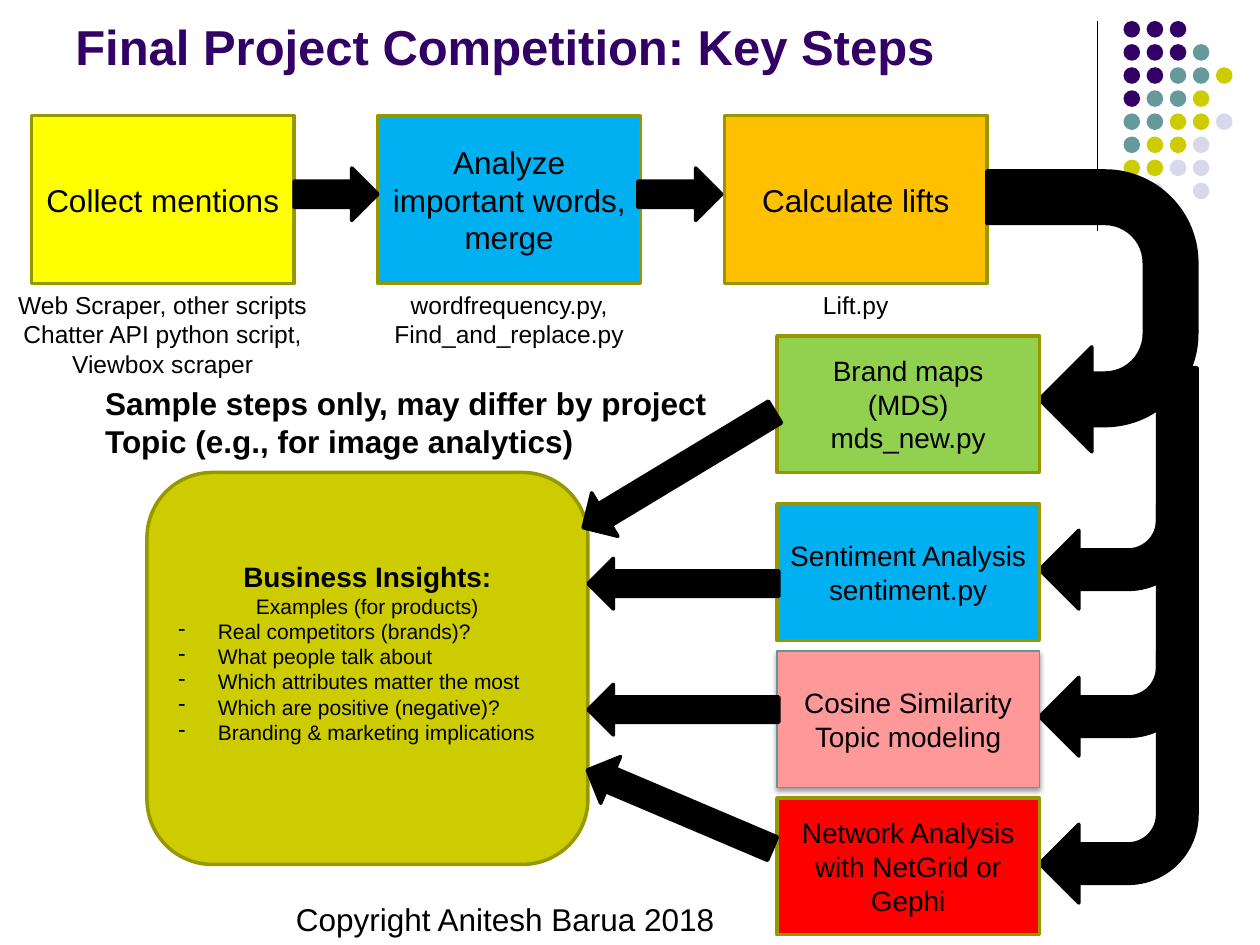
"""Build the slide of key steps in the final project competition."""
from lxml.etree import SubElement as Sub
from pptx import Presentation
from pptx.dml.color import RGBColor as RGB
from pptx.enum.shapes import MSO_CONNECTOR as Link, MSO_SHAPE as Kind
from pptx.enum.text import MSO_ANCHOR as Anchor, PP_ALIGN as Align
from pptx.oxml.ns import qn
from pptx.util import Pt

THEME = {
    "font": "Arial", "ink": "000000", "title": "330066", "edge": "979700",
    "card": "CCCC00", "rim": "639797",
    "dots": {"P": "330066", "T": "669999", "Y": "CCCC00", "L": "D8D8EC"},
    "head": 28, "big": 18, "mid": 16, "note": 14, "small": 12,
}
TITLE = "Final Project Competition: Key Steps"
DOTS = ["PPP", "PPPT", "PPTTY", "PTTY", "TTYYL", "TYYL", "YYLL", ".L.L"]
STEPS = [
    ("Collect mentions", "FFFF00",
     ["Web Scraper, other scripts", "Chatter API python script,", "Viewbox scraper"]),
    ("Analyze important words, merge", "00B0F0",
     ["wordfrequency.py,", "Find_and_replace.py"]),
    ("Calculate lifts", "FFC000", ["Lift.py"]),
]
TOOLS = [
    (["Brand maps", "(MDS) mds_new.py"], "92D050", 192),
    (["Sentiment Analysis sentiment.py"], "00B0F0", 288),
    (["Cosine Similarity", "Topic modeling"], "FF9999", 372),
    (["Network Analysis with NetGrid or Gephi"], "FF0000", 456),
]
GOALS = ["Real competitors (brands)?", "What people talk about",
         "Which attributes matter the most", "Which are positive (negative)?",
         "Branding & marketing implications"]
REMARK = ["Sample steps only, may differ by project",
          "Topic (e.g., for image analytics)"]
RIGHTS = "Copyright Anitesh Barua 2018"
FLOW = [
    (168, 96, 48, 30, 0), (364.5, 96, 48, 30, 0),
    (324, 254, 128, 29, 148.9), (336, 319, 109, 29, 180),
    (336, 391, 109, 29, 180), (331, 448, 115, 29, 203),
]

deck = Presentation()
deck.slide_width, deck.slide_height = Pt(720), Pt(540)
slide = deck.slides.add_slide(deck.slide_layouts[6])
shapes = slide.shapes


def write(frame, lines, size, bold=False, align=Align.CENTER, color=THEME["ink"]):
    """Fill a text frame with paragraphs of one style."""
    for i, line in enumerate(lines):
        para = frame.paragraphs[0] if i == 0 else frame.add_paragraph()
        para.text = line
        style(para, size, bold, align, color)


def style(para, size, bold=False, align=Align.CENTER, color=THEME["ink"]):
    """Set the alignment and font of a paragraph."""
    para.alignment = align
    font = para.font
    font.name, font.size, font.bold = THEME["font"], Pt(size), bold
    font.color.rgb = RGB.from_string(color)


def draw(kind, x, y, w, h, fill, edge=None, width=2, turn=0):
    """Add a flat preset shape."""
    shape = shapes.add_shape(kind, Pt(x), Pt(y), Pt(w), Pt(h))
    shape.shadow.inherit = False
    shape.rotation = turn
    shape.fill.solid()
    shape.fill.fore_color.rgb = RGB.from_string(fill)
    if edge:
        shape.line.color.rgb = RGB.from_string(edge)
        shape.line.width = Pt(width)
    else:
        shape.line.fill.background()
    return shape


def box(x, y, w, h, lines, size, fill, edge=THEME["edge"], width=2):
    """Add a rectangle with centred text."""
    shape = draw(Kind.RECTANGLE, x, y, w, h, fill, edge, width)
    shape.text_frame.word_wrap = True
    shape.text_frame.vertical_anchor = Anchor.MIDDLE
    write(shape.text_frame, lines, size)
    return shape


def label(x, y, w, h, lines, size, **look):
    """Add an unwrapped text box."""
    frame = shapes.add_textbox(Pt(x), Pt(y), Pt(w), Pt(h)).text_frame
    frame.word_wrap = False
    write(frame, lines, size, **look)


def arrow(kind, x, y, w, h, turn):
    """Add a black block arrow."""
    draw(kind, x, y, w, h, THEME["ink"], THEME["ink"], turn=turn)


def shade(shape):
    """Give a shape a soft shadow below it."""
    fx = shape._element.spPr.find(qn("a:effectLst"))
    cast = Sub(fx, qn("a:outerShdw"), blurRad="40000", dist="20000",
               dir="5400000", rotWithShape="0")
    tone = Sub(cast, qn("a:srgbClr"), val=THEME["ink"])
    Sub(tone, qn("a:alpha"), val="38000")


rule = shapes.add_connector(Link.STRAIGHT, Pt(627), Pt(12), Pt(627), Pt(132))
rule.line.color.rgb = RGB.from_string(THEME["ink"])
rule.line.width = Pt(0.75)
Sub(rule._element.spPr, qn("a:effectLst"))
for row, marks in enumerate(DOTS):
    for col, mark in enumerate(marks):
        if mark != ".":
            draw(Kind.OVAL, 642 + 13.2 * col, 12 + 13.2 * row, 9.5, 9.5,
                 THEME["dots"][mark])

label(36, 6, 594, 42, [TITLE], THEME["head"], bold=True, align=Align.LEFT,
      color=THEME["title"])
for i, (name, fill, notes) in enumerate(STEPS):
    left = 18 + 198 * i
    box(left, 66, 150, 96, [name], THEME["big"], fill)
    label(left - 15, 162, 180, 8 + 17 * len(notes), notes, THEME["note"])

arrow(Kind.U_TURN_ARROW, 543.6, 118, 160.5, 120, 90)
tops = [210] + [y for _, _, y in TOOLS[1:3]]
for top, (_, _, y) in zip(tops, TOOLS[1:]):
    arrow(Kind.BENT_ARROW, 594, top, 90, y + 60 - top, 180)
for lines, fill, y in TOOLS:
    soft = fill == "FF9999"
    edge, width = (THEME["rim"], 0.75) if soft else (THEME["edge"], 2)
    tool = box(444, y, 150, 78, lines, THEME["mid"], fill, edge, width)
    if soft:
        shade(tool)

card = draw(Kind.ROUNDED_RECTANGLE, 84, 270, 252, 224, THEME["card"], THEME["edge"])
frame = card.text_frame
frame.word_wrap, frame.vertical_anchor, frame.margin_top = True, Anchor.TOP, Pt(39)
write(frame, ["Business Insights:"], THEME["mid"], bold=True)
for i, line in enumerate(["Examples (for products)"] + GOALS):
    para = frame.add_paragraph()
    para.text = line
    if i:
        props = para._p.get_or_add_pPr()
        props.set("marL", str(Pt(22.5)))
        props.set("indent", str(Pt(-22.5)))
        Sub(props, qn("a:buChar"), char="-")
    style(para, THEME["small"], align=Align.LEFT if i else Align.CENTER)

for x, y, w, h, turn in FLOW:
    arrow(Kind.RIGHT_ARROW, x, y, w, h, turn)
label(162, 511, 256, 29, [RIGHTS], THEME["big"], align=Align.LEFT)
label(53, 216, 367, 51, REMARK, THEME["big"], bold=True, align=Align.LEFT)
deck.save("out.pptx")
